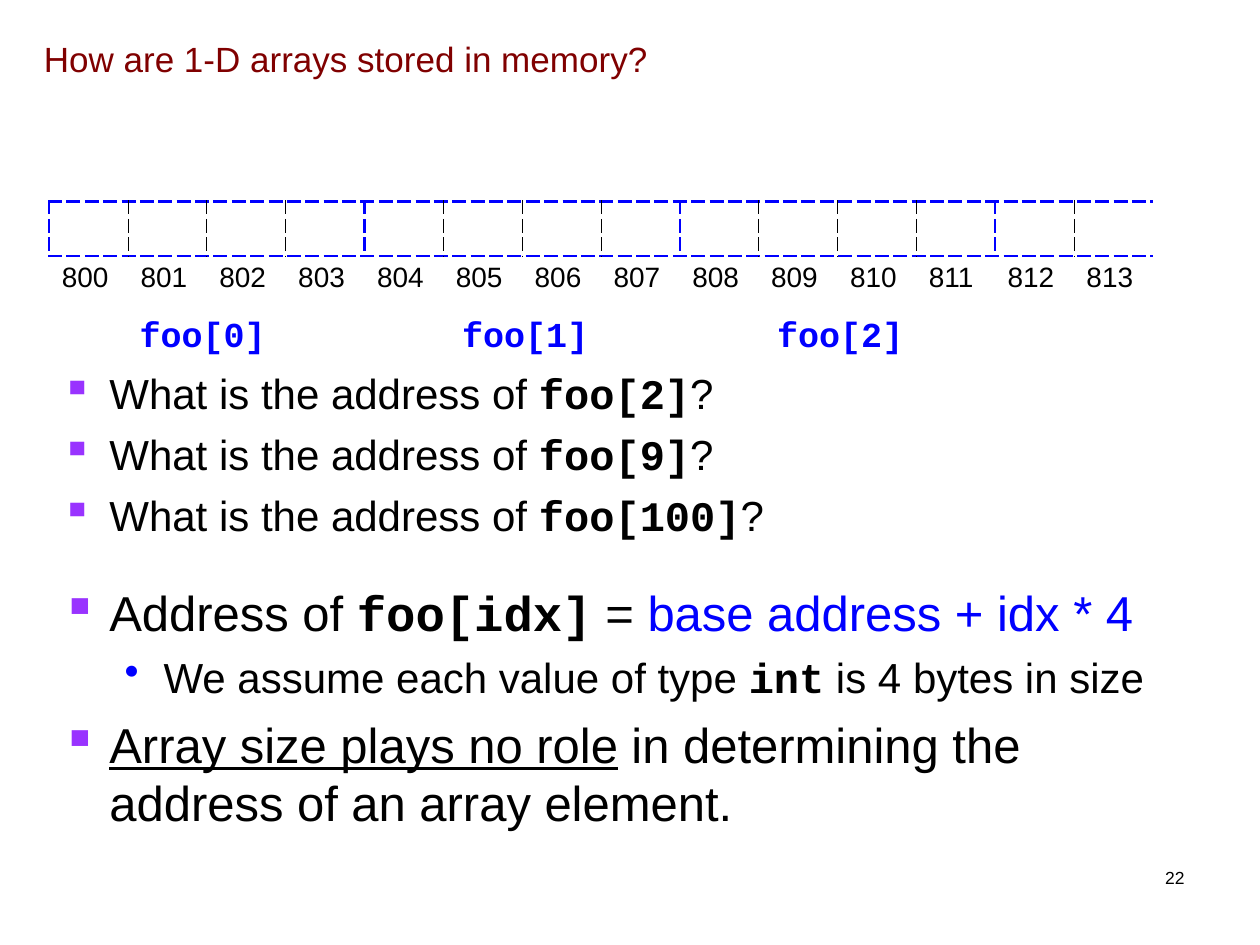
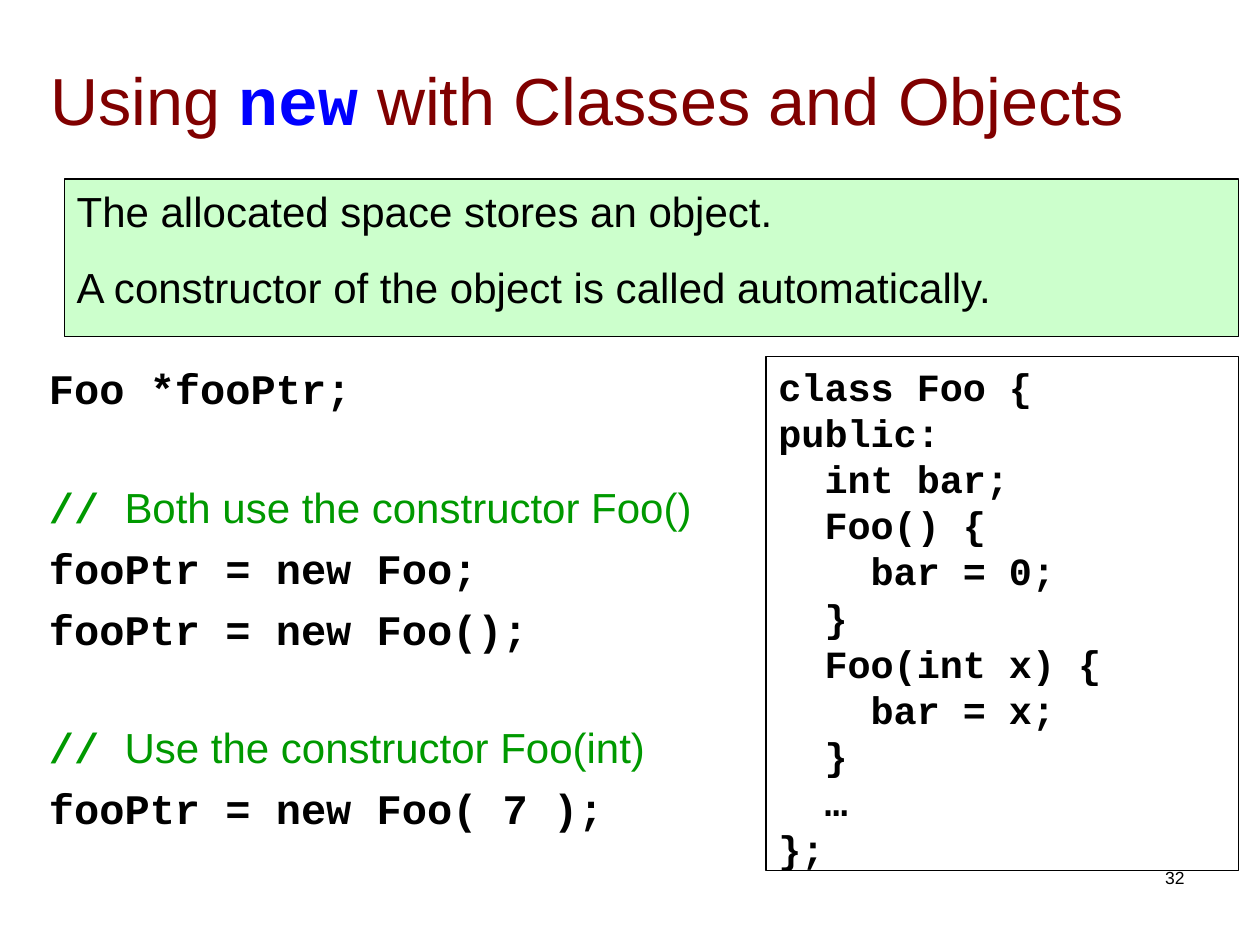
from pptx import Presentation
from pptx.dml.color import RGBColor
from pptx.enum.shapes import MSO_SHAPE
from pptx.enum.text import MSO_ANCHOR, PP_ALIGN
from pptx.oxml import parse_xml
from pptx.oxml.ns import nsdecls
from pptx.util import Inches, Pt

# Shared colours and text styles
rgb = RGBColor.from_string
BLACK, BLUE, MAROON, GREEN = "000000", "0000FF", "800000", "009900"
PURPLE, MINT, WHITE = "9933FF", "CCFFCC", "FFFFFF"
SANS = {"name": "Arial", "size": Pt(24), "color": BLACK}
MONO = {"name": "Courier New", "size": Pt(24), "color": BLACK, "bold": True}
SANS28, MONO28 = SANS | {"size": Pt(28)}, MONO | {"size": Pt(28)}
TITLE = SANS | {"color": MAROON}
COMMENT = {"color": GREEN}


def write(tf, paras):
    """Fill a text frame with (runs, format) paragraphs; a run is (text, style)."""
    for i, (runs, fmt) in enumerate(paras):
        p = tf.paragraphs[0] if i == 0 else tf.add_paragraph()
        if "bullet" in fmt:
            char, color, left, hang = fmt["bullet"]
            pPr = p._p.get_or_add_pPr()
            pPr.set("marL", str(Inches(left)))
            pPr.set("indent", str(-Inches(hang)))
            pPr.append(parse_xml(f'<a:buClr {nsdecls("a")}><a:srgbClr val="{color}"/></a:buClr>'))
            pPr.append(parse_xml(f'<a:buChar {nsdecls("a")} char="{char}"/>'))
        if i and "before" in fmt:
            p.space_before = Pt(fmt["before"])
        p.alignment = fmt.get("align", PP_ALIGN.LEFT)
        for text, style in runs:
            r = p.add_run()
            r.text = text
            for key, value in style.items():
                if key == "color":
                    r.font.color.rgb = rgb(value)
                else:
                    setattr(r.font, key, value)


def add_text(s, at, paras, fill=None, anchor=MSO_ANCHOR.TOP, wrap=True):
    """Add a text box, or an outlined rectangle when a fill is given."""
    at = [Inches(v) for v in at]
    if fill:
        sp = s.shapes.add_shape(MSO_SHAPE.RECTANGLE, *at)
        sp.shadow.inherit = False
        sp.fill.solid()
        sp.fill.fore_color.rgb = rgb(fill)
        sp.line.color.rgb = rgb(BLACK)
        sp.line.width = Pt(0.75)
    else:
        sp = s.shapes.add_textbox(*at)
    tf = sp.text_frame
    tf.word_wrap = wrap
    tf.vertical_anchor = anchor
    write(tf, paras)


prs = Presentation()
prs.slide_width, prs.slide_height = Inches(10), Inches(7.5)

# Slides with their titles and page numbers
slides = []
for number, at, size, runs in [
    ("22", (0.25, 0.18, 9.26, 0.57), 20,
     [("How are 1-D arrays stored in memory?", TITLE)]),
    ("32", (0.3, 0.31, 9.32, 0.95), 38,
     [("Using ", TITLE), ("new", MONO | {"color": BLUE}),
      (" with Classes and Objects", TITLE)]),
]:
    s = prs.slides.add_slide(prs.slide_layouts[6])
    runs = [(text, style | {"size": Pt(size)}) for text, style in runs]
    add_text(s, at, [(runs, {})], anchor=MSO_ANCHOR.MIDDLE)
    add_text(s, (7.17, 6.83, 2.33, 0.5),
             [([(number, SANS | {"size": Pt(10)})], {"align": PP_ALIGN.RIGHT})])
    slides.append(s)
arrays, objects = slides

# Memory strip: a row of bytes above a row of addresses
BYTES, INT_SIZE, BASE = 14, 4, 800
for is_strip, top, height in [(True, 1.6, 0.43), (False, 2.03, 0.4)]:
    table = arrays.shapes.add_table(1, BYTES, Inches(0.39), Inches(top),
                                    Inches(8.76), Inches(height)).table
    table.first_row = table.horz_banding = False
    for i, cell in enumerate(table.iter_cells()):
        cell.fill.background()
        edges = dict.fromkeys("LRTB")
        if is_strip:
            edges["L"] = BLUE if i % INT_SIZE == 0 else BLACK
            edges["R"] = BLUE if (i + 1) % INT_SIZE == 0 else BLACK
            edges["T"] = edges["B"] = BLUE
            if i == BYTES - 1:
                edges["R"] = None
        else:
            write(cell.text_frame, [([(str(BASE + i), SANS | {"size": Pt(16)})], {})])
        for n, (side, color) in enumerate(edges.items()):
            width = Pt(1.47) if color == BLUE else Pt(0.45)
            line = (f'<a:solidFill><a:srgbClr val="{color}"/></a:solidFill>'
                    '<a:prstDash val="dash"/>') if color else "<a:noFill/>"
            cell._tc.get_or_add_tcPr().insert(n, parse_xml(
                f'<a:ln{side} {nsdecls("a")} w="{width}">{line}</a:ln{side}>'))

# Element names under the strip
for i, left in enumerate([1.01, 3.57, 6.07]):
    add_text(arrays, (left, 2.43, 1.2, 0.44),
             [([(f"foo[{i}]", MONO | {"size": Pt(20), "color": BLUE})], {})], wrap=False)

# Questions and the address rule
square = {"bullet": ("▪", PURPLE, 0.38, 0.38)}
dot = {"bullet": ("•", BLUE, 0.81, 0.31), "before": 6}
paras = [([("What is the address of ", SANS), (f"foo[{i}]", MONO), ("?", SANS)],
          square | {"before": 6}) for i in (2, 9, 100)]
paras += [
    ([("Address of ", SANS28), ("foo[idx]", MONO28), (" = ", SANS28),
      ("base address + idx * 4", SANS28 | {"color": BLUE})], square | {"before": 24}),
    ([("We assume each value of type ", SANS), ("int", MONO),
      (" is 4 bytes in size", SANS)], dot),
    ([("Array size plays no role", SANS28 | {"underline": True}),
      (" in determining the address of an array element.", SANS28)], square | {"before": 7}),
]
add_text(arrays, (0.39, 2.87, 9.23, 4.17), paras)

# Statements that call the constructors
NEXT, GAP = {"before": 6}, {"before": 39}
add_text(objects, (0.29, 2.83, 5.7, 4.08), [
    ([("Foo *fooPtr;", MONO)], NEXT),
    ([("// ", MONO | COMMENT), ("Both use the constructor Foo()", SANS | COMMENT)], GAP),
    ([("fooPtr = new Foo;", MONO)], NEXT),
    ([("fooPtr = new Foo();", MONO)], NEXT),
    ([("// ", MONO | COMMENT), ("Use the constructor Foo(int)", SANS | COMMENT)], GAP),
    ([("fooPtr = new Foo( 7 );", MONO)], NEXT),
])

# Class definition
code = """class Foo {
public:
  int bar;
  Foo() {
    bar = 0;
  }
  Foo(int x) {
    bar = x;
  }
  …
};"""
add_text(objects, (6.08, 2.83, 3.75, 4.08),
         [([(line, MONO | {"size": Pt(22)})], {}) for line in code.splitlines()], fill=WHITE)

# Summary band
add_text(objects, (0.51, 1.42, 9.32, 1.25), [
    ([("The allocated space stores an object.", SANS)], {}),
    ([("A constructor of the object is called automatically.", SANS)], {"before": 15}),
], fill=MINT)

prs.save("out.pptx")
